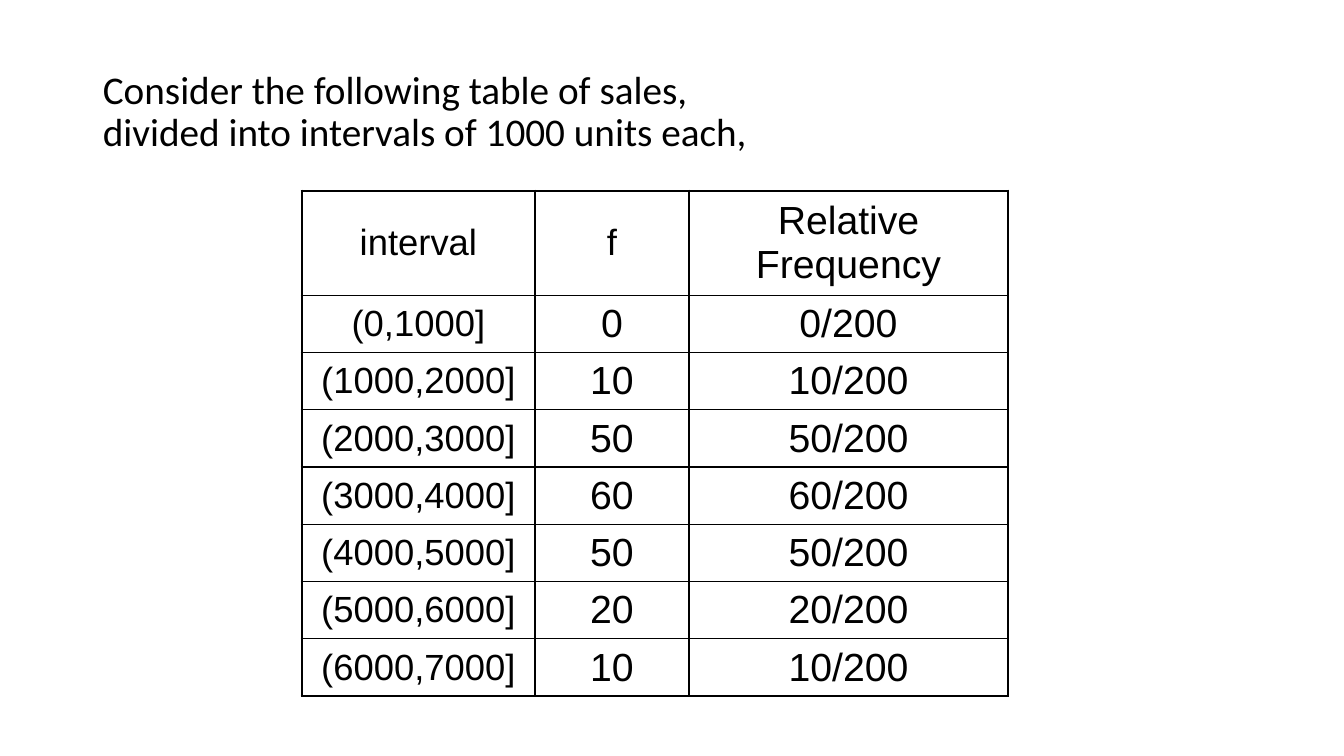
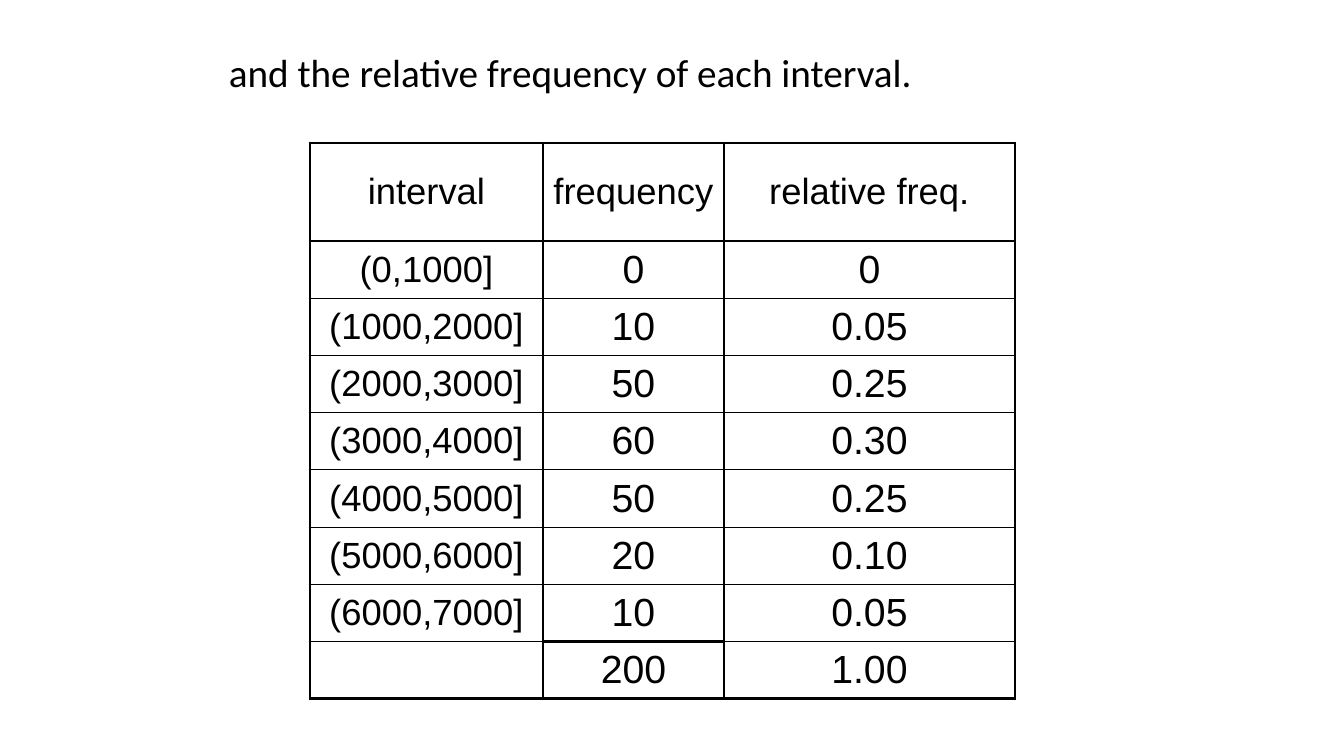
from lxml import etree
from pptx import Presentation
from pptx.dml.color import RGBColor
from pptx.enum.text import MSO_ANCHOR, PP_ALIGN
from pptx.oxml.ns import qn
from pptx.util import Pt

MID = MSO_ANCHOR.MIDDLE
LEFT, CENTER = PP_ALIGN.LEFT, PP_ALIGN.CENTER

BLACK = "000000"
SMALL, LARGE = 26, 28
THIN, THICK = 1, 2.25
BINS = ["(0,1000]", "(1000,2000]", "(2000,3000]", "(3000,4000]",
        "(4000,5000]", "(5000,6000]", "(6000,7000]"]
COUNTS = [0, 10, 50, 60, 50, 20, 10]
TOTAL = sum(COUNTS)

SLIDES = [
    {
        "title": "Consider the following table of sales,\vdivided into intervals of 1000 units each,",
        "title_box": (93, 40, 1159, 146),
        "head": [("interval", SMALL), ("f", SMALL), ("Relative Frequency", LARGE)],
        "rows": [(b, str(n), f"{n}/{TOTAL}") for b, n in zip(BINS, COUNTS)],
        "at": (302, 191),
        "cols": (233, 154, 319),
        "head_high": 104,
        "body_high": 401,
        "sum_row": None,
    },
    {
        "title": "and the relative frequency of each interval.",
        "title_box": (219, 33, 907, 84),
        "head": [("interval", SMALL), ("frequency", SMALL), ("relative freq.", SMALL)],
        "rows": [(b, str(n), f"{n / TOTAL:.2f}" if n else "0")
                 for b, n in zip(BINS, COUNTS)] + [("", str(TOTAL), "1.00")],
        "at": (310, 143),
        "cols": (233, 181, 291),
        "head_high": 98,
        "body_high": 458,
        "sum_row": 8,
    },
]


def px(n):
    return round(n * 914400 / 100.8)


def color(code):
    return RGBColor.from_string(code)


def style(para, face, size, align):
    para.alignment = align
    for run in para.runs:
        for key, val in {"name": face, "size": Pt(size), "bold": False}.items():
            setattr(run.font, key, val)
        run.font.color.rgb = color(BLACK)


def add_title(slide, text, box):
    frame = slide.shapes.add_textbox(*map(px, box)).text_frame
    for key, val in {"word_wrap": True, "vertical_anchor": MID, "text": text}.items():
        setattr(frame, key, val)
    para = frame.paragraphs[0]
    para.line_spacing = 0.9
    style(para, "Calibri", LARGE, LEFT)


def add_edge(cell, side, width):
    line = etree.SubElement(cell._tc.get_or_add_tcPr(), qn(f"a:ln{side}"), w=str(Pt(width)))
    fill = etree.SubElement(line, qn("a:solidFill"))
    etree.SubElement(fill, qn("a:srgbClr"), val=BLACK)


def fill_cell(cell, text, size, thick):
    cell.text = text
    cell.vertical_anchor = MID
    style(cell.text_frame.paragraphs[0], "Arial", size, CENTER)
    for side in "LRTB":
        add_edge(cell, side, THICK if side in thick else THIN)
    cell.fill.background()


def add_grid(slide, data):
    body = [[(text, LARGE if c else SMALL) for c, text in enumerate(row)]
            for row in data["rows"]]
    cells = [data["head"]] + body
    cols = data["cols"]
    last_row, last_col = len(cells) - 1, len(cols) - 1
    size = (sum(cols), data["head_high"] + data["body_high"])
    grid = slide.shapes.add_table(len(cells), len(cols), *map(px, data["at"] + size)).table
    for key in ("first_row", "horz_banding"):
        setattr(grid, key, False)
    for col, width in zip(grid.columns, cols):
        col.width = px(width)
    for r, row in enumerate(grid.rows):
        row.height = px(data["body_high"] / len(body) if r else data["head_high"])
    for r, line in enumerate(cells):
        for c, (text, points) in enumerate(line):
            sums = data["sum_row"] if c == 1 else None
            edges = {
                "L": c == 0,
                "R": c == last_col,
                "T": r in (0, sums),
                "B": r == last_row or r + 1 == sums,
            }
            fill_cell(grid.cell(r, c), text, points, [s for s in edges if edges[s]])


def main():
    deck = Presentation()
    deck.slide_width, deck.slide_height = px(1344), px(756)
    for data in SLIDES:
        slide = deck.slides.add_slide(deck.slide_layouts[6])
        add_title(slide, data["title"], data["title_box"])
        add_grid(slide, data)
    deck.save("out.pptx")


if __name__ == "__main__":
    main()
